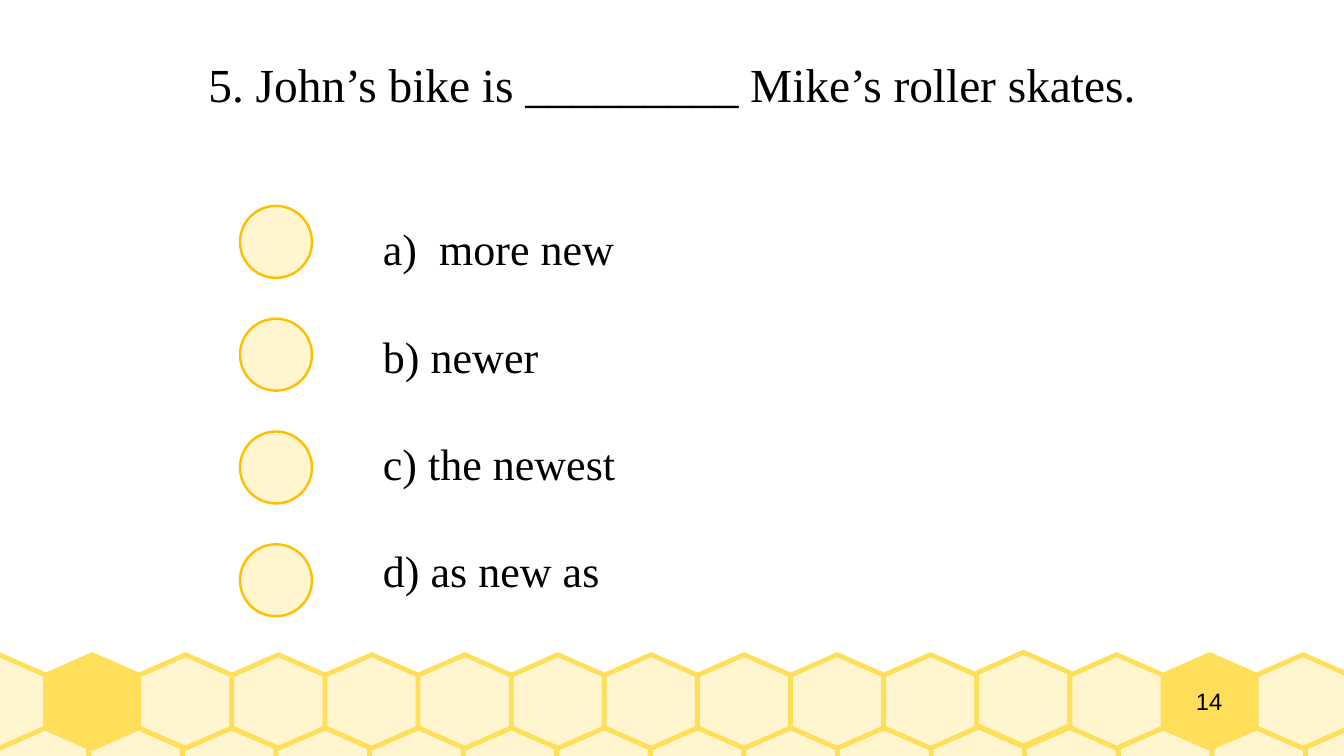
from pptx import Presentation
from pptx import util as u
from pptx.dml.color import RGBColor
from pptx.enum import shapes, text

CREAM, HONEY, AMBER, BLACK = "FFF5CE", "FFDE59", "FFBF00", "000000"
CELL = 1.95
CELL_OUTLINE = [(0.5, 0), (0, 0.22), (0, 0.78), (0.5, 1), (1, 0.78), (1, 0.22)]
ANSWERS = ["a)  more new", "b) newer", "c) the newest", "d) as new as"]


def color(hex_value):
    """Turn a hex string into a colour."""
    return RGBColor.from_string(hex_value)


def paint(figure, fill, line, width):
    """Give a figure a flat fill and an outline."""
    figure.shadow.inherit = False
    figure.fill.solid()
    figure.fill.fore_color.rgb = color(fill)
    figure.line.color.rgb = color(line)
    figure.line.width = u.Pt(width)


def add_cell(slide, left, top, fill):
    """Draw one honeycomb cell."""
    corners = [(u.Cm(left + x * CELL), u.Cm(top + y * CELL)) for x, y in CELL_OUTLINE]
    outline = slide.shapes.build_freeform(*corners[0])
    outline.add_line_segments(corners[1:], close=True)
    paint(outline.convert_to_shape(), fill, HONEY, 2.83)


def add_honeycomb(slide):
    """Draw the two rows of cells along the bottom edge."""
    for column in range(15):
        add_cell(slide, -0.1 + 1.95 * column, 15.14, CREAM)
    for column in range(15):
        top = 13.59 if column == 11 else 13.64
        fill = HONEY if column in (1, 13) else CREAM
        add_cell(slide, -0.99 + 1.94 * column, top, fill)


def add_text(slide, box, lines, font, size, align, anchor, inset=0, gap=0):
    """Add a text box with one paragraph per line."""
    frame = slide.shapes.add_textbox(*map(u.Cm, box)).text_frame
    frame.word_wrap = True
    frame.vertical_anchor = anchor
    frame.margin_left = frame.margin_right = frame.margin_bottom = 0
    frame.margin_top = u.Cm(inset)
    for index, line in enumerate(lines):
        paragraph = frame.add_paragraph() if index else frame.paragraphs[0]
        paragraph.alignment = align
        paragraph.space_after = u.Pt(gap)
        run = paragraph.add_run()
        run.text = line
        run.font.name = font
        run.font.size = u.Pt(size)
        run.font.color.rgb = color(BLACK)


def add_choice(slide, top):
    """Draw the circle beside one answer."""
    circle = slide.shapes.add_shape(
        shapes.MSO_SHAPE.OVAL, u.Cm(5), u.Cm(top), u.Cm(1.5), u.Cm(1.5))
    paint(circle, CREAM, AMBER, 1.42)


def main():
    """Build the quiz slide and save it."""
    deck = Presentation()
    deck.slide_width, deck.slide_height = u.Cm(28), u.Cm(15.75)
    slide = deck.slides.add_slide(deck.slide_layouts[6])
    center, left = text.PP_ALIGN.CENTER, text.PP_ALIGN.LEFT
    middle, top = text.MSO_ANCHOR.MIDDLE, text.MSO_ANCHOR.TOP

    add_honeycomb(slide)
    add_text(slide, (23.6, 13.64, 3.18, 1.95), ["14"], "Arial", 14, center, middle)
    question = "5. John’s bike is _________ Mike’s roller skates."
    add_text(slide, (1.5, 0.46, 25, 2.56), [question],
             "Times New Roman", 28, center, middle)
    add_text(slide, (7.98, 4.5, 19, 8), ANSWERS,
             "Times New Roman", 26, left, top, inset=0.12, gap=32.2)
    for row in range(len(ANSWERS)):
        add_choice(slide, 4.29 + 2.35 * row)
    deck.save("out.pptx")


if __name__ == "__main__":
    main()
